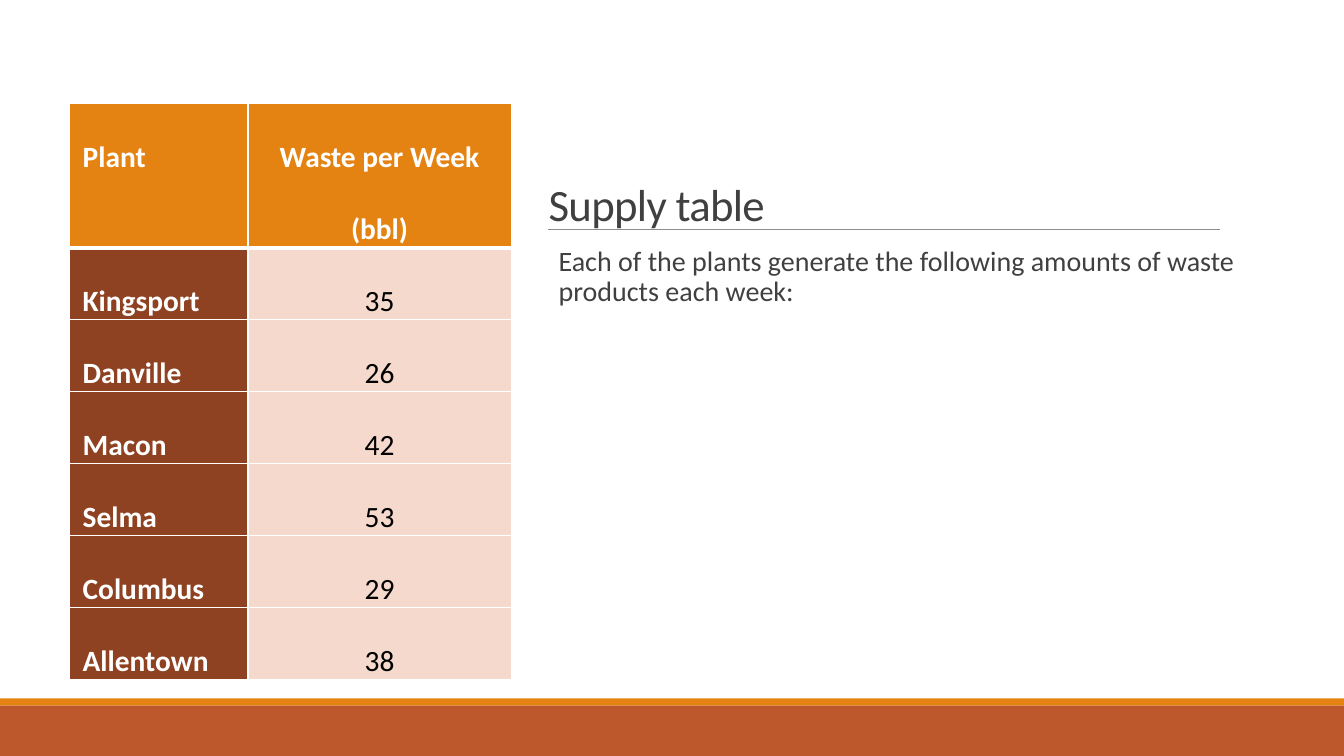
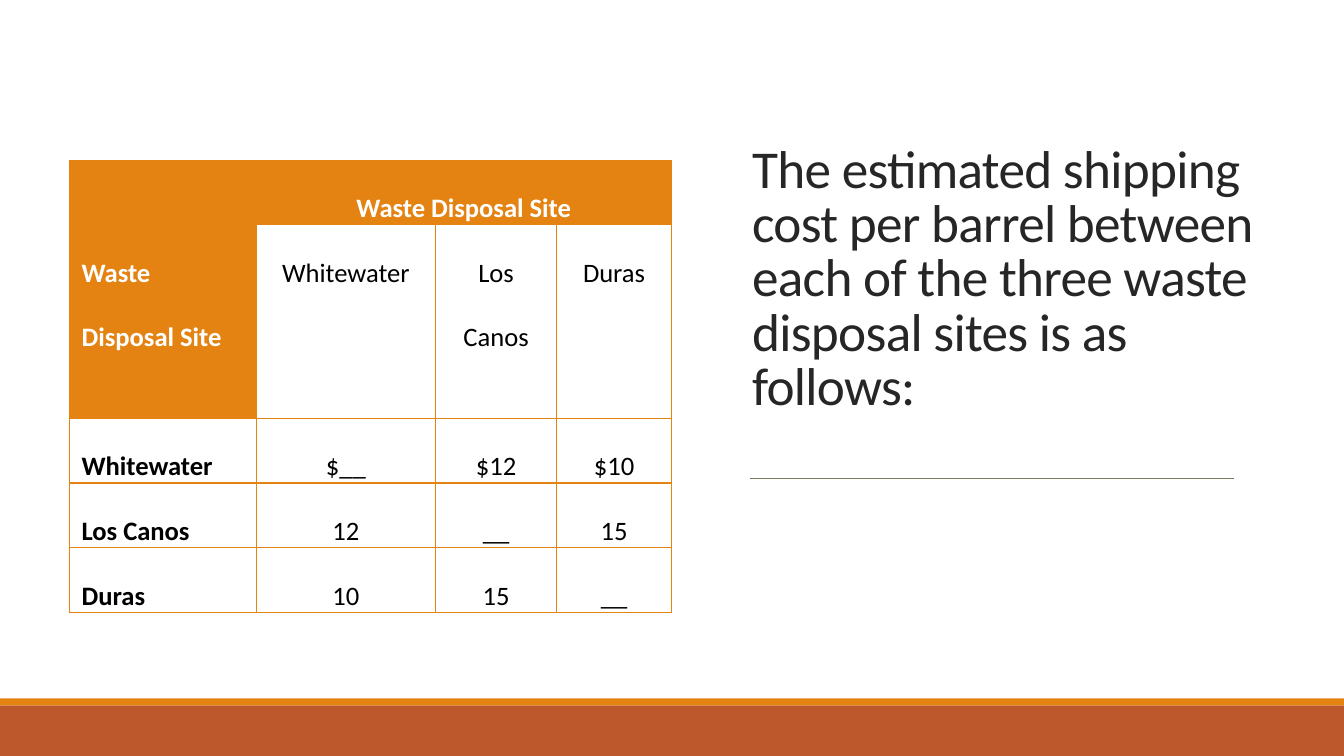
from lxml.etree import SubElement
from pptx import Presentation
from pptx.dml.color import RGBColor
from pptx.enum.shapes import MSO_CONNECTOR as Connector, MSO_SHAPE as Shape
from pptx.enum.text import MSO_ANCHOR as Anchor, MSO_AUTO_SIZE as AutoSize, PP_ALIGN as Align
from pptx.oxml.ns import qn
from pptx.util import Inches, Pt

COLORS = {
    "orange": "E48312",
    "rust": "BD582C",
    "brown": "8E4221",
    "blush": "F5D9CC",
    "white": "FFFFFF",
    "black": "000000",
    "text": "404040",
    "dark": "262626",
    "gray rule": "8D8D8D",
    "olive rule": "737E63",
}
FONT = "Calibri"
SLIDE_W, SLIDE_H = 13.33, 7.5
TITLE_AND_CONTENT, TITLE_ONLY = 1, 5


def rgb(name):
    return RGBColor.from_string(COLORS[name])


def place(part, box):
    part.left, part.top, part.width, part.height = map(Inches, box)


def style_font(paragraph, size, color, bold=False):
    font = paragraph.font
    font.name, font.size, font.bold = FONT, Pt(size), bold
    font.color.rgb = rgb(color)


def add_bands(slide):
    for top, height, color in ((6.93, 0.07, "orange"), (7, 0.5, "rust")):
        band = slide.shapes.add_shape(
            Shape.RECTANGLE, 0, Inches(top), Inches(SLIDE_W), Inches(height))
        band.shadow.inherit = False
        band.fill.solid()
        band.fill.fore_color.rgb = rgb(color)
        band.line.fill.background()


def add_rule(slide, left, right, top, color):
    rule = slide.shapes.add_connector(
        Connector.STRAIGHT, Inches(left), Inches(top), Inches(right), Inches(top))
    rule.line.color.rgb = rgb(color)
    rule.line.width = Pt(0.5)
    SubElement(rule._element.spPr, qn("a:effectLst"))


def set_title(slide, box, text, size, color, bottom_inset=0.05):
    title = slide.shapes.title
    place(title, box)
    frame = title.text_frame
    frame.text = text
    frame.word_wrap = True
    frame.auto_size = AutoSize.NONE
    frame.vertical_anchor = Anchor.BOTTOM
    frame.margin_bottom = Inches(bottom_inset)
    heading = frame.paragraphs[0]
    heading.alignment = Align.LEFT
    heading.line_spacing = 0.85
    style_font(heading, size, color)
    heading.font._rPr.set("spc", "-50")


def set_body(slide, box, text):
    body = slide.placeholders[1]
    place(body, box)
    frame = body.text_frame
    frame.text = text
    frame.word_wrap = True
    frame.auto_size = AutoSize.NONE
    frame.margin_left = frame.margin_right = 0
    sentence = frame.paragraphs[0]
    props = sentence._p.get_or_add_pPr()
    props.set("marL", str(Inches(0.1)))
    props.set("indent", "0")
    SubElement(props, qn("a:buNone"))
    sentence.line_spacing = 0.9
    sentence.space_before = Pt(0)
    sentence.space_after = Pt(2)
    style_font(sentence, 20, "text")


def set_borders(cell, color, top=1, bottom=1):
    props = cell._tc.get_or_add_tcPr()
    for side, width in (("L", 1), ("R", 1), ("T", top), ("B", bottom)):
        border = SubElement(props, qn(f"a:ln{side}"), w=str(Pt(width)))
        fill = SubElement(border, qn("a:solidFill"))
        SubElement(fill, qn("a:srgbClr"), val=COLORS[color])


def add_grid(slide, origin, widths, heights, rows, size, inset, border, look,
             header_line=1, bold_column=False):
    left, top = map(Inches, origin)
    table = slide.shapes.add_table(
        len(rows), len(widths), left, top,
        Inches(sum(widths)), Inches(sum(heights))).table
    table.horz_banding = False
    table.first_col = bold_column
    for column, width in zip(table.columns, widths):
        column.width = Inches(width)
    for row, height in zip(table.rows, heights):
        row.height = Inches(height)
    for r, texts in enumerate(rows):
        for c, text in enumerate(texts):
            cell = table.cell(r, c)
            fill, ink, bold = look(r, c)
            set_borders(cell, border,
                        top=header_line if r == 1 else 1,
                        bottom=header_line if r == 0 else 1)
            cell.fill.solid()
            cell.fill.fore_color.rgb = rgb(fill)
            cell.margin_left = cell.margin_right = Inches(inset)
            cell.margin_top = cell.margin_bottom = 0
            cell.text = text
            entry = cell.text_frame.paragraphs[0]
            entry.alignment = Align.CENTER if c else Align.LEFT
            entry.line_spacing = 2.0
            style_font(entry, size, ink, bold)
    return table


def supply_look(row, column):
    if row == 0:
        return "orange", "white", True
    return ("blush", "black", False) if column else ("brown", "white", True)


def shipping_look(row, column):
    if row == 0 or (row == 1 and column == 0):
        return "orange", "white", True
    return "white", "black", column == 0


def build_supply(prs):
    slide = prs.slides.add_slide(prs.slide_layouts[TITLE_AND_CONTENT])
    add_bands(slide)
    add_rule(slide, 5.44, 12.1, 2.28, "gray rule")
    set_title(slide, (5.34, 0.75, 5.61, 1.59), "Supply table", 32, "text")
    set_body(slide, (5.44, 2.4, 7.19, 4.01),
             "Each of the plants generate the following amounts of waste products each week:")
    waste = [
        ("Plant", "Waste per Week (bbl)"),
        ("Kingsport", "35"),
        ("Danville", "26"),
        ("Macon", "42"),
        ("Selma", "53"),
        ("Columbus", "29"),
        ("Allentown", "38"),
    ]
    add_grid(slide, (0.69, 1.03), (1.77, 2.61), [1.42] + [0.71] * 6, waste,
             21, 0.13, "white", supply_look, header_line=3, bold_column=True)


def build_shipping(prs):
    slide = prs.slides.add_slide(prs.slide_layouts[TITLE_ONLY])
    add_bands(slide)
    set_title(slide, (7.36, 0.7, 5.26, 4.03),
              "The estimated shipping cost per barrel between each of the three "
              "waste disposal sites is as follows:", 38, "dark", bottom_inset=0.6)
    add_rule(slide, 7.44, 12.24, 4.75, "olive rule")
    line_height = 0.64
    costs = [
        ("Waste Disposal Site", "Waste Disposal Site", "", ""),
        ("", "Whitewater", "Los Canos", "Duras"),
        ("Whitewater", "$__", "$12", "$10"),
        ("Los Canos", "12", "__", "15"),
        ("Duras", "10", "15", "__"),
    ]
    heights = [line_height * lines for lines in (1, 3, 1, 1, 1)]
    table = add_grid(slide, (0.69, 1.59), (1.85, 1.78, 1.2, 1.14), heights, costs,
                     19, 0.12, "orange", shipping_look)
    corner = table.cell(0, 0)
    corner.merge(table.cell(1, 0))
    corner.margin_top = Inches(line_height)
    table.cell(0, 1).merge(table.cell(0, 3))


def main():
    prs = Presentation()
    prs.slide_width, prs.slide_height = Inches(SLIDE_W), Inches(SLIDE_H)
    build_supply(prs)
    build_shipping(prs)
    prs.save("out.pptx")


if __name__ == "__main__":
    main()
